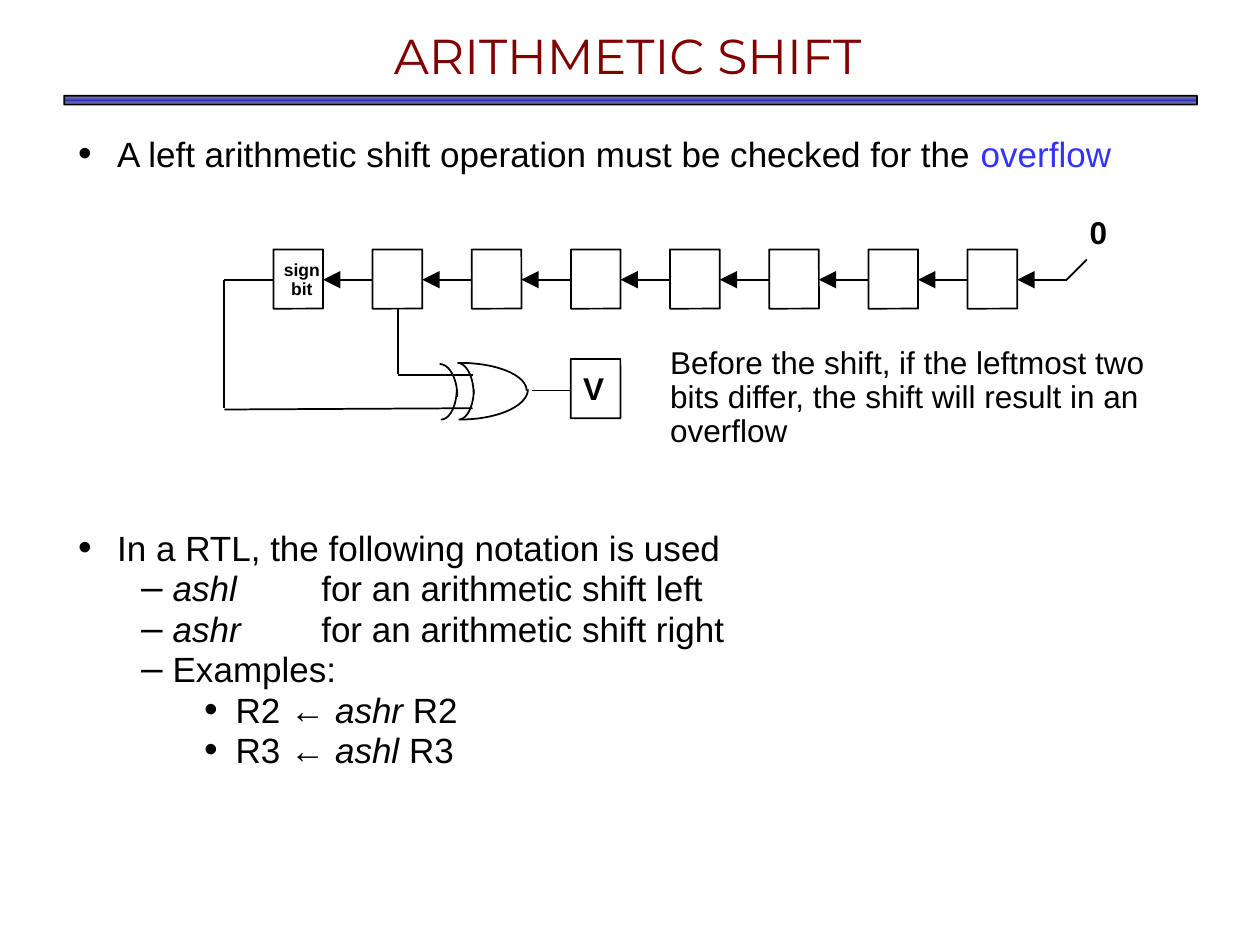
from copy import deepcopy
from dataclasses import dataclass
from math import cos, pi, sin

from pptx import Presentation
from pptx import util as u
from pptx.dml.color import RGBColor
from pptx.enum import shapes, text
from pptx.oxml import ns, xmlchemy


@dataclass(frozen=True)
class Theme:
    heading: str = "Montserrat"
    body: str = "Arial"
    ink: str = "000000"
    title: str = "800000"
    accent: str = "3333FF"
    bar: tuple = ("969696", "3333CC", "969696")
    title_size: int = 28
    list_size: int = 20
    note_size: int = 18
    small_size: int = 10
    line: int = 1


COLUMNS, ROWS = 100, 75
BULLETS = [("•", 0.31, -0.31), ("–", 0.75, -0.25), ("•", 1.25, -0.25)]
ITALIC = {"italic": True}


def put(obj, values):
    for name, value in values.items():
        setattr(obj, name, value)


def add_xml(parent, tag, **attributes):
    child = xmlchemy.OxmlElement(tag)
    for name, value in attributes.items():
        child.set(name, str(value))
    parent.append(child)
    return child


class SlideBuilder:
    def __init__(self, prs, theme):
        self.prs, self.theme = prs, theme
        self.s = prs.slides.add_slide(prs.slide_layouts[3])

    def x(self, columns):
        return round(self.prs.slide_width * columns / COLUMNS)

    def y(self, rows):
        return round(self.prs.slide_height * rows / ROWS)

    def area(self, x, y, w, h):
        return self.x(x), self.y(y), self.x(w), self.y(h)

    def place(self, sp, area):
        put(sp, dict(zip(("left", "top", "width", "height"), self.area(*area))))

    def run(self, p, words, color=None, **values):
        r = p.add_run()
        r.text = words
        put(r.font, {"name": self.theme.body, **values})
        r.font.color.rgb = RGBColor.from_string(color or self.theme.ink)

    def outline(self, sp):
        sp.shadow.inherit = False
        sp.line.width = u.Pt(self.theme.line)
        sp.line.color.rgb = RGBColor.from_string(self.theme.ink)

    def title(self, words, area):
        sp = self.s.shapes.title
        self.place(sp, area)
        tf = sp.text_frame
        side, edge = u.Inches(0.07), u.Inches(0.03)
        put(tf, {"margin_left": side, "margin_right": side, "margin_top": edge, "margin_bottom": edge,
                 "vertical_anchor": text.MSO_ANCHOR.TOP, "auto_size": text.MSO_AUTO_SIZE.NONE})
        p = tf.paragraphs[0]
        p.alignment = text.PP_ALIGN.CENTER
        self.run(p, words, self.theme.title, name=self.theme.heading, size=u.Pt(self.theme.title_size))

    def bullets(self, index, area, items, spacing):
        sp = self.s.placeholders[index]
        self.place(sp, area)
        tf = sp.text_frame
        tf.auto_size = text.MSO_AUTO_SIZE.NONE
        for i, (level, runs) in enumerate(items):
            p = tf.paragraphs[0] if i == 0 else tf.add_paragraph()
            self.bullet(p, level)
            put(p, {"level": level, "line_spacing": spacing, "space_before": u.Pt(3.9 if i else 0)})
            for words, values in runs:
                self.run(p, words, size=u.Pt(self.theme.list_size), **values)

    def bullet(self, p, level):
        mark, margin, indent = BULLETS[level]
        props = p._p.get_or_add_pPr()
        props.set("marL", str(u.Inches(margin)))
        props.set("indent", str(u.Inches(indent)))
        add_xml(add_xml(props, "a:buClr"), "a:srgbClr", val=self.theme.ink)
        add_xml(props, "a:buSzPct", val=111000)
        add_xml(props, "a:buFont", typeface=self.theme.body)
        add_xml(props, "a:buChar", char=mark)
        add_xml(add_xml(props, "a:tabLst"), "a:tab", pos=u.Inches(1.93), algn="l")

    def label(self, lines, area, size, bold=False, align=text.PP_ALIGN.LEFT):
        tf = self.s.shapes.add_textbox(*self.area(*area)).text_frame
        put(tf, {"word_wrap": False, "auto_size": text.MSO_AUTO_SIZE.SHAPE_TO_FIT_TEXT})
        for i, words in enumerate(lines):
            p = tf.paragraphs[0] if i == 0 else tf.add_paragraph()
            put(p, {"alignment": align, "line_spacing": 0.9 if i else 0.93})
            self.run(p, words, size=u.Pt(size), bold=bold)

    def box(self, area, rounding=0.004):
        sp = self.s.shapes.add_shape(shapes.MSO_SHAPE.ROUNDED_RECTANGLE, *self.area(*area))
        sp.adjustments[0] = rounding
        sp.fill.background()
        self.outline(sp)
        return sp

    def bar(self, area):
        sp = self.box(area, 0.025)
        sp.fill.gradient()
        sp.fill.gradient_angle = 90
        stops = sp.element.spPr.find(".//" + ns.qn("a:gsLst"))
        stops.append(deepcopy(stops[0]))
        for i, (stop, color) in enumerate(zip(sp.fill.gradient_stops, self.theme.bar)):
            stop.position = i / 2
            stop.color.rgb = RGBColor.from_string(color)

    def line(self, x1, y1, x2, y2, arrow=False):
        c = self.s.shapes.add_connector(
            shapes.MSO_CONNECTOR.STRAIGHT, self.x(x1), self.y(y1), self.x(x2), self.y(y2))
        c.line.width = u.Pt(self.theme.line)
        c.line.color.rgb = RGBColor.from_string(self.theme.ink)
        if arrow:
            add_xml(c.line._get_or_add_ln(), "a:tailEnd", type="triangle", w="lg", len="lg")
        add_xml(c.element.spPr, "a:effectLst")

    def quarter_arc(self, cx, cy, rx, ry, steps=30):
        angles = [pi / 2 * i / steps for i in range(steps + 1)]
        points = [(self.x(cx + rx * cos(a)), self.y(cy + ry * sin(a))) for a in angles]
        builder = self.s.shapes.build_freeform(*points[0])
        builder.add_line_segments(points[1:], close=False)
        sp = builder.convert_to_shape()
        sp.fill.background()
        self.outline(sp)


def draw_register(b):
    left, top, width, height, step, count = 21.7, 19.8, 3.94, 4.7, 7.87, 8
    wire = 22.2
    for i in range(count):
        x = left + i * step
        b.box((x, top, width, height))
        b.line(x + step, wire, x + width, wire, arrow=True)
    end = left + count * step
    b.line(end, wire, end + 1.6, wire - 1.6)
    b.label(["0"], (85.5, 16.7, 3.4, 3.8), b.theme.note_size, bold=True)
    b.label(["sign", "bit"], (21.5, 20.2, 4.9, 4.1), b.theme.small_size, True, text.PP_ALIGN.CENTER)
    b.line(left, wire, 17.8, wire)
    b.line(17.8, wire, 17.8, 32.4)
    b.line(31.6, top + height, 31.6, 29.7)


def draw_overflow_gate(b):
    for arc in [(36.5, 31, 5.3, -2.2), (36.5, 30.9, 5.4, 2.4),
                (36.3, 31.3, 1.3, -2.5), (36.4, 30.9, 1.2, 2.4),
                (34.9, 31.5, 1.4, -2.6), (35, 30.9, 1.25, 2.4)]:
        b.quarter_arc(*arc)
    b.line(37.5, 29.75, 31.6, 29.75)
    b.line(37.5, 32.4, 17.8, 32.5)
    b.line(42.2, 31, 45.3, 31)
    b.box((45.3, 28.5, 3.94, 4.7))
    b.label(["V"], (45.3, 29.1, 3.7, 3.8), b.theme.note_size, bold=True)
    b.label(["Before the shift, if the leftmost two", "bits differ, the shift will result in an", "overflow"],
            (52.2, 27, 40, 9.3), b.theme.note_size)


def main():
    prs = Presentation()
    prs.slide_width, prs.slide_height = u.Inches(10), u.Inches(7.5)
    theme = Theme()
    b = SlideBuilder(prs, theme)
    b.bar((5.1, 7.6, 89.9, 0.7))
    b.title("ARITHMETIC SHIFT", (4.9, 1.7, 89.8, 3.7))
    b.bullets(1, (5.2, 10, 87.4, 10.6), [
        (0, [("A left arithmetic shift operation must be checked for the ", {}),
             ("overflow", {"color": theme.accent})]),
    ], 1.0)
    draw_register(b)
    draw_overflow_gate(b)
    b.bullets(2, (5.2, 41.9, 87.4, 23.8), [
        (0, [("In a RTL, the following notation is used", {})]),
        (1, [("ashl", ITALIC), ("\tfor an arithmetic shift left", {})]),
        (1, [("ashr", ITALIC), ("\tfor an arithmetic shift right", {})]),
        (1, [("Examples:", {})]),
        (2, [("R2 ← ", {}), ("ashr", ITALIC), (" R2", {})]),
        (2, [("R3 ← ", {}), ("ashl", ITALIC), (" R3", {})]),
    ], 0.8)
    prs.save("out.pptx")


if __name__ == "__main__":
    main()
